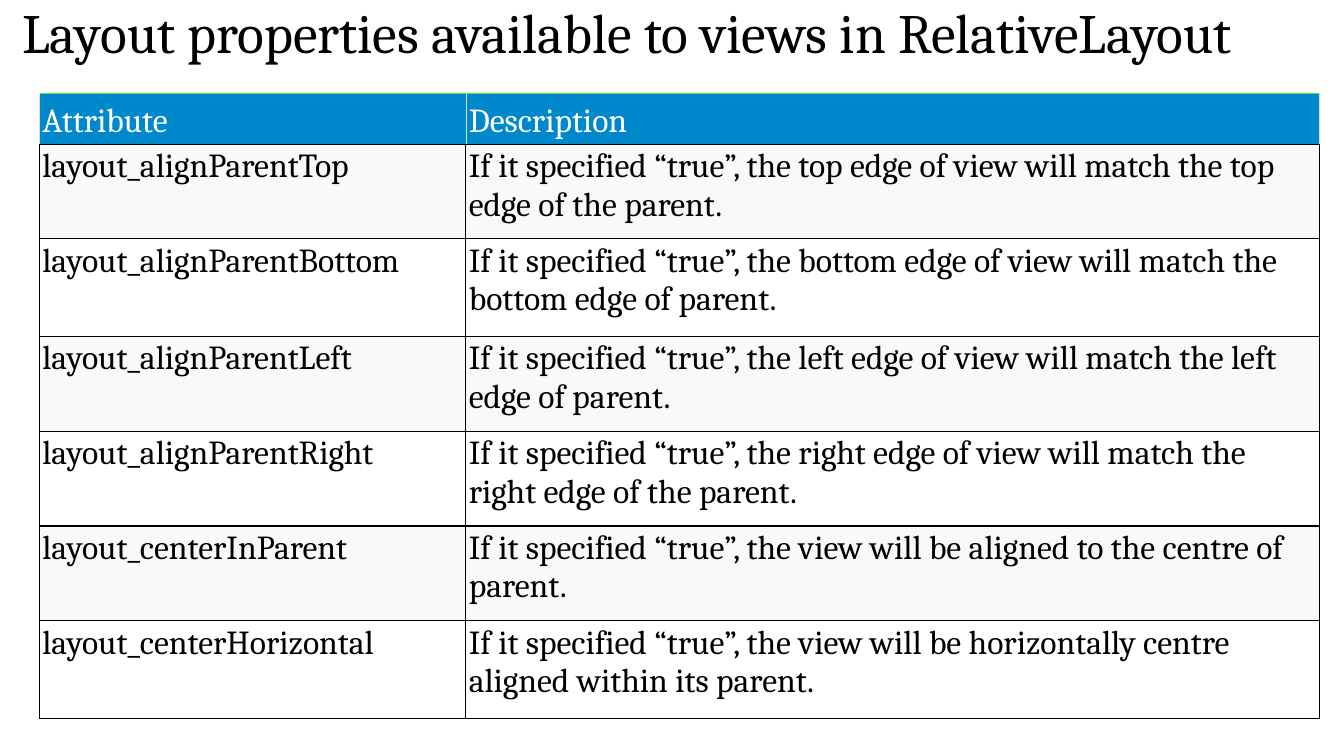
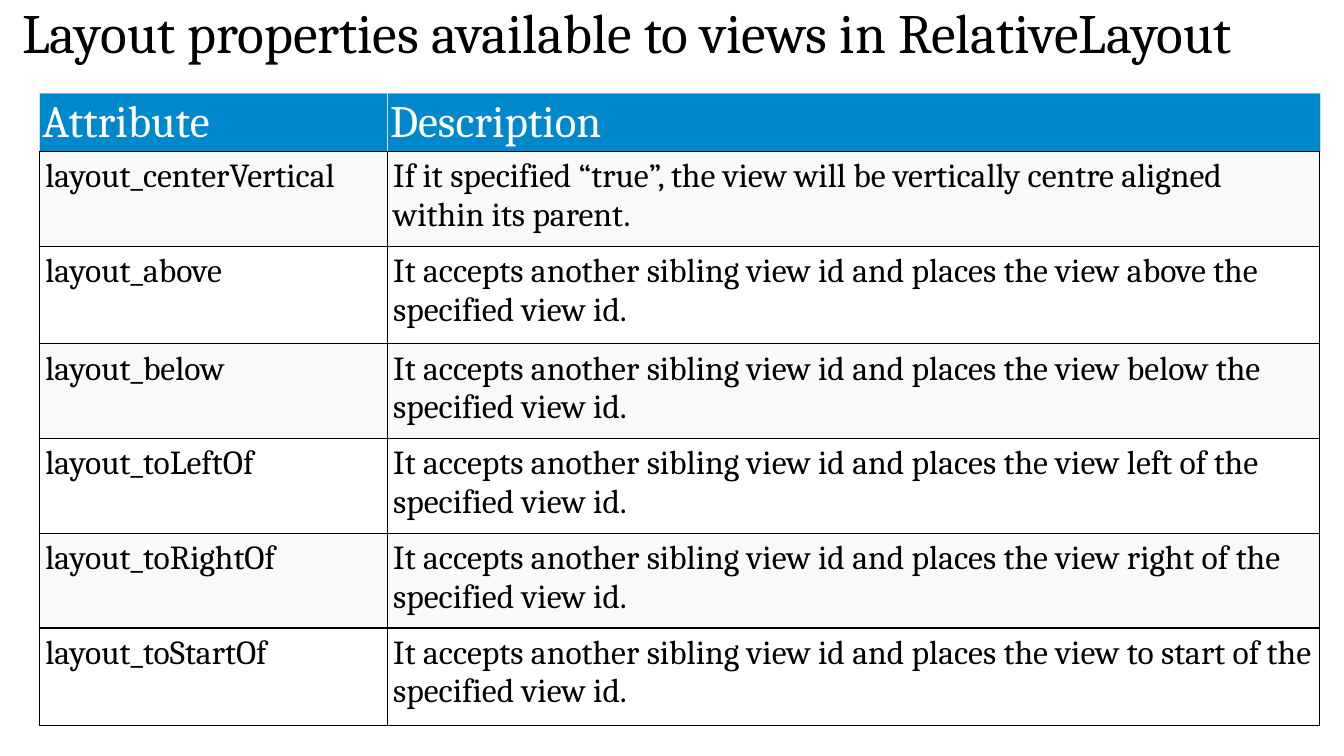
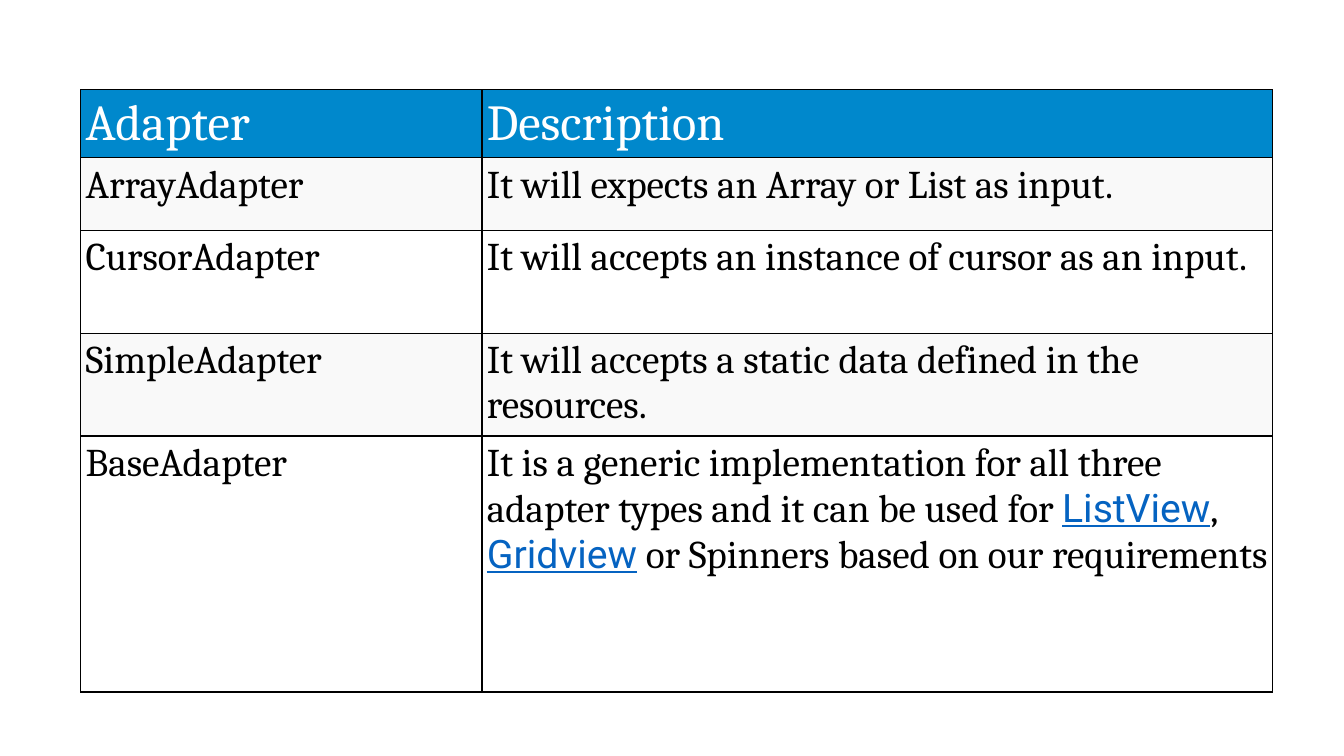
import dataclasses
from typing import Optional

import lxml.etree
import pptx
import pptx.dml.color
import pptx.enum.text
import pptx.oxml.ns
import pptx.util

Inches = pptx.util.Inches
Pt = pptx.util.Pt

# Shared style
SERIF, SANS = "Cambria", "Roboto"
BLACK, WHITE, BLUE, STRIPE, LINK = "000000", "FFFFFF", "0088CC", "F9F9F9", "0563C1"
TITLE_BOX = (0.12, 0, 13.06, 0.7)
TITLE_SIZE = 39.6
LAYOUT_TITLE_ONLY, LAYOUT_BLANK = 5, 6


@dataclasses.dataclass(frozen=True)
class Run:
    text: str
    linked: bool = False


@dataclasses.dataclass(frozen=True)
class Edge:
    color: str
    points: float


RULE = Edge(BLACK, 1)
GREY_EDGE = Edge("DDDDDD", 0.5)
GREEN_EDGE = Edge("50E72C", 0.5)
BODY_EDGES = {"lnL": RULE, "lnR": RULE, "lnT": RULE, "lnB": RULE}
ACCENT_EDGES = {"lnL": GREY_EDGE, "lnR": GREY_EDGE, "lnT": GREEN_EDGE, "lnB": RULE}


@dataclasses.dataclass(frozen=True)
class CellStyle:
    size: float
    inset: float
    color: str = BLACK
    edges: dict[str, Edge] = dataclasses.field(default_factory=lambda: BODY_EDGES)
    anchor: pptx.enum.text.MSO_ANCHOR = pptx.enum.text.MSO_ANCHOR.TOP


def header_style(size: float, inset: float, edges: dict[str, Edge]) -> CellStyle:
    return CellStyle(size, inset, WHITE, edges, pptx.enum.text.MSO_ANCHOR.BOTTOM)


@dataclasses.dataclass(frozen=True)
class Reference:
    """One slide with a two-column reference table."""
    title: Optional[str]
    left: float
    top: float
    columns: tuple[float, float]
    heights: tuple[float, ...]
    header: CellStyle
    body: CellStyle
    rows: list[tuple[str, str | list[Run]]]


def rgb(color: str) -> pptx.dml.color.RGBColor:
    return pptx.dml.color.RGBColor.from_string(color)


def add_run(paragraph, content: Run, size: float, color: str) -> None:
    run = paragraph.add_run()
    run.text = content.text
    font = run.font
    font.name = SANS if content.linked else SERIF
    font.size = Pt(size)
    font.bold = False
    font.underline = content.linked
    font.color.rgb = rgb(LINK if content.linked else color)


def add_title(slide, text: str) -> None:
    title = slide.shapes.title
    title.left, title.top, title.width, title.height = map(Inches, TITLE_BOX)
    frame = title.text_frame
    frame.auto_size = pptx.enum.text.MSO_AUTO_SIZE.NONE
    frame.vertical_anchor = pptx.enum.text.MSO_ANCHOR.MIDDLE
    paragraph = frame.paragraphs[0]
    paragraph.alignment = pptx.enum.text.PP_ALIGN.LEFT
    paragraph.line_spacing = 0.9
    add_run(paragraph, Run(text), TITLE_SIZE, BLACK)


def set_edges(cell, edges: dict[str, Edge]) -> None:
    properties = cell._tc.get_or_add_tcPr()
    qn = pptx.oxml.ns.qn
    for position, (side, edge) in enumerate(edges.items()):
        line = lxml.etree.Element(qn(f"a:{side}"), w=str(Pt(edge.points)))
        fill = lxml.etree.SubElement(line, qn("a:solidFill"))
        lxml.etree.SubElement(fill, qn("a:srgbClr"), val=edge.color)
        properties.insert(position, line)


def fill_cell(cell, content: str | list[Run], style: CellStyle, background: str) -> None:
    inset = Inches(style.inset)
    cell.margin_left = cell.margin_right = cell.margin_top = cell.margin_bottom = inset
    cell.vertical_anchor = style.anchor
    cell.fill.solid()
    cell.fill.fore_color.rgb = rgb(background)
    set_edges(cell, style.edges)
    runs = [Run(content)] if isinstance(content, str) else content
    for run in runs:
        add_run(cell.text_frame.paragraphs[0], run, style.size, style.color)


def add_reference(deck, reference: Reference) -> None:
    layout = LAYOUT_TITLE_ONLY if reference.title else LAYOUT_BLANK
    slide = deck.slides.add_slide(deck.slide_layouts[layout])
    if reference.title:
        add_title(slide, reference.title)

    table = slide.shapes.add_table(
        len(reference.rows), len(reference.columns),
        Inches(reference.left), Inches(reference.top),
        Inches(sum(reference.columns)), Inches(sum(reference.heights)),
    ).table
    table.first_row = table.horz_banding = False
    for column, width in zip(table.columns, reference.columns):
        column.width = Inches(width)
    for row, height in zip(table.rows, reference.heights):
        row.height = Inches(height)

    for index, entry in enumerate(reference.rows):
        style = reference.body if index else reference.header
        background = (STRIPE if index % 2 else WHITE) if index else BLUE
        for column, content in enumerate(entry):
            fill_cell(table.cell(index, column), content, style, background)


# Content
LAYOUT_TITLE = "Layout properties available to views in RelativeLayout"
LAYOUT_HEIGHTS = (0.5, 0.94, 0.97, 0.94, 0.94, 0.94, 0.97)


def if_true(effect: str) -> str:
    return f"If it specified “true”, the {effect}."


def sibling(place: str) -> str:
    return ("It accepts another sibling view id and places the view "
            f"{place} the specified view id.")


REFERENCES = [
    Reference(
        LAYOUT_TITLE, 0.39, 0.93, (4.23, 8.47), LAYOUT_HEIGHTS,
        header_style(24, 0.03, ACCENT_EDGES), CellStyle(24, 0.03),
        [
            ("Attribute", "Description"),
            ("layout_alignParentTop",
             if_true("top edge of view will match the top edge of the parent")),
            ("layout_alignParentBottom",
             if_true("bottom edge of view will match the bottom edge of parent")),
            ("layout_alignParentLeft",
             if_true("left edge of view will match the left edge of parent")),
            ("layout_alignParentRight",
             if_true("right edge of view will match the right edge of the parent")),
            ("layout_centerInParent",
             if_true("view will be aligned to the centre of parent")),
            ("layout_centerHorizontal",
             if_true("view will be horizontally centre aligned within its parent")),
        ],
    ),
    Reference(
        LAYOUT_TITLE, 0.39, 0.93, (3.45, 9.25), LAYOUT_HEIGHTS,
        header_style(32, 0.03, ACCENT_EDGES), CellStyle(24, 0.06),
        [
            ("Attribute", "Description"),
            ("layout_centerVertical",
             if_true("view will be vertically centre aligned within its parent")),
            ("layout_above", sibling("above")),
            ("layout_below", sibling("below")),
            ("layout_toLeftOf", sibling("left of")),
            ("layout_toRightOf", sibling("right of")),
            ("layout_toStartOf", sibling("to start of")),
        ],
    ),
    Reference(
        None, 0.8, 0.89, (3.98, 7.84), (0.43, 0.72, 1.02, 1.02, 2.54),
        header_style(36, 0.05, BODY_EDGES), CellStyle(28, 0.05),
        [
            ("Adapter", "Description"),
            ("ArrayAdapter", "It will expects an Array or List as input."),
            ("CursorAdapter", "It will accepts an instance of cursor as an input."),
            ("SimpleAdapter", "It will accepts a static data defined in the resources."),
            ("BaseAdapter", [
                Run("It is a generic implementation for all three adapter types "
                    "and it can be used for "),
                Run("ListView", linked=True),
                Run(", "),
                Run("Gridview", linked=True),
                Run(" or Spinners based on our requirements"),
            ]),
        ],
    ),
]


def main() -> None:
    deck = pptx.Presentation()
    deck.slide_width, deck.slide_height = Inches(13.33), Inches(7.5)
    for reference in REFERENCES:
        add_reference(deck, reference)
    deck.save("out.pptx")


if __name__ == "__main__":
    main()
